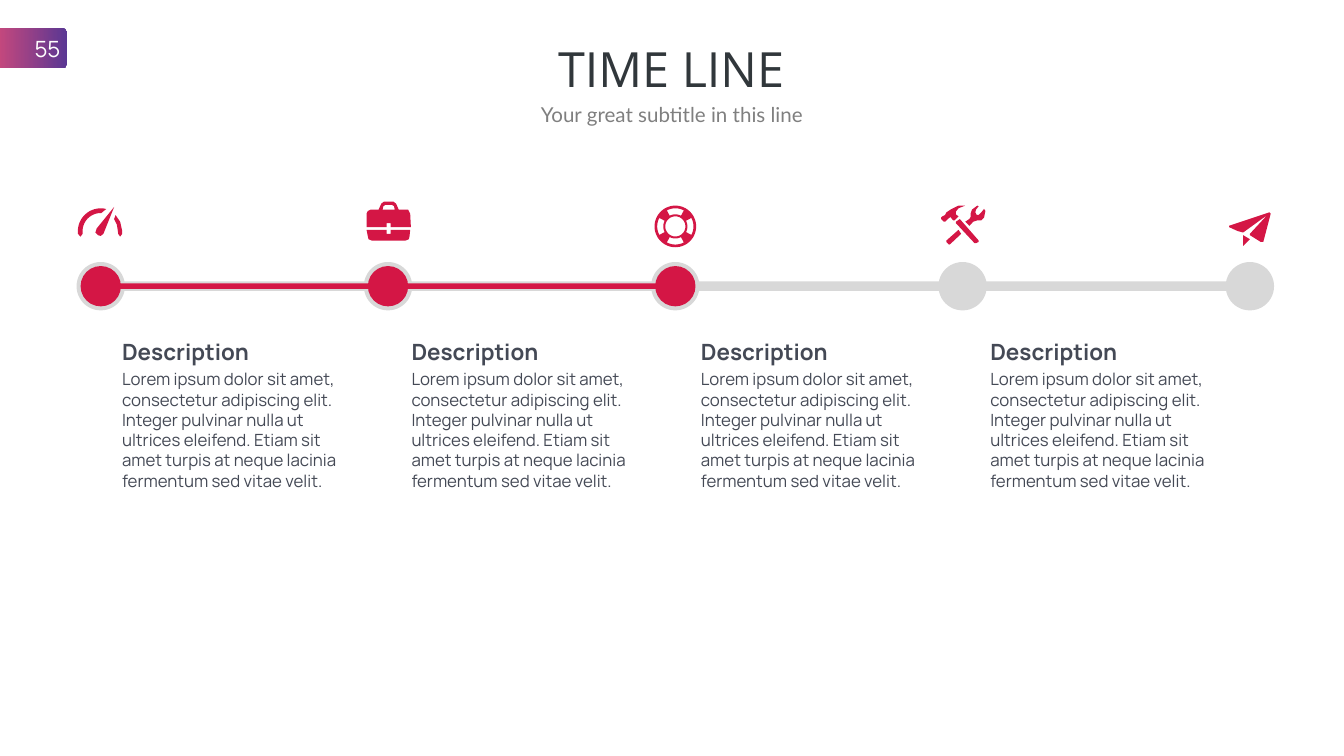
from dataclasses import dataclass
from math import cos, radians, sin

from pptx import Presentation
from pptx.dml.color import RGBColor
from pptx.enum import shapes, text
from pptx.util import Inches, Pt


@dataclass(frozen=True)
class Theme:
    red: str = "D41645"
    gray: str = "D8D8D8"
    dark: str = "31373B"
    mute: str = "7F7F7F"
    ink: str = "444955"
    white: str = "FFFFFF"
    fade: tuple = ("5A3793", "EC4E75")
    title: int = 26
    sub: int = 11
    head: int = 12
    body: int = 9


T = Theme()
SHAPE = shapes.MSO_SHAPE
LEFT, CENTER, RIGHT = (text.PP_ALIGN.LEFT, text.PP_ALIGN.CENTER,
                       text.PP_ALIGN.RIGHT)
STEPS = 5
DONE = 3
FIRST, LAST = 0.75, 9.3
NOTE_A, NOTE_Z = 0.81, 7.27
RAIL_Y = 2.13
ICON_Y = 1.68
BLURB = ("Lorem ipsum dolor sit amet, consectetur adipiscing elit. "
         "Integer pulvinar nulla ut ultrices eleifend. Etiam sit amet "
         "turpis at neque lacinia fermentum sed vitae velit.")


def spread(start, end, count):
    """Evenly spaced positions from start to end."""
    return [start + (end - start) * i / (count - 1) for i in range(count)]


def arc(y, r, start, end):
    """Points of an arc around (0, y), about six degrees apart."""
    count = max(2, round(abs(end - start) / 6)) + 1
    turns = [radians(a) for a in spread(start, end, count)]
    return [(r * cos(a), y + r * sin(a)) for a in turns]


# Icon outlines: hundredths of an inch from the icon's middle.
def gauge():
    band = (arc(4, 17, 180, 284) + arc(4, 13.5, 272, 180)
            + [(-13.5, 6), (-15, 8), (-17, 6)])
    needle = [(10, -14), (-3, 2), (-4, 5), (-2, 7), (0, 7.5), (2, 6)]
    end = [(11, -8), (14.5, -3), (16, 4), (16, 6), (14.5, 8), (13, 6),
           (12.8, 4), (12, -1), (10, -5)]
    return [band, needle, end]


def case():
    lid = [(-1, -2), (2, -2), (2, 1), (17, 1), (16.5, -9), (15, -12),
           (8, -12), (6, -16.5), (4, -18), (-3, -18), (-5, -16.5),
           (-7, -12), (-13, -12), (-15, -11), (-16, -9), (-16, 1), (-1, 1)]
    grip = [(-4, -12), (-3.5, -14.5), (-2, -15.5), (3, -15.5),
            (4.5, -14.5), (5, -12)]
    base = [(2, 6), (-1, 6), (-1, 3), (-16, 3), (-15, 8), (-14.5, 10),
            (-12, 11), (13, 11), (15.5, 10), (16, 8), (16.5, 3), (2, 3)]
    return [lid, grip, base]


def buoy():
    gaps = [arc(0.5, 13.5, a - 28, a + 28) + arc(0.5, 9, a + 28, a - 28)
            for a in range(0, 360, 90)]
    return [arc(0.5, 15.5, 0, 360), arc(0.5, 7.5, 0, 360)] + gaps


def tools():
    hammer = [(-11, -5), (-9, -6.5), (-7, -4), (-6, -4), (-3, -7),
              (-5, -8.5), (-5, -10.5), (-3, -13), (2, -15), (-3, -15),
              (-9, -12), (-12, -10), (-13, -8), (-15, -7), (-16, -6),
              (-16, -5), (-14, -3), (-13, -3), (-12, -4)]
    shaft = [(-2, -5), (-5, -3), (-5, -2), (9, 13), (10, 13), (12, 12),
             (12, 11)]
    wrench = [(17, -11), (16, -12.5), (14, -10), (12, -8), (10.5, -8),
              (9.5, -10), (10, -12), (12, -14.5), (11, -15), (7, -12),
              (6, -9), (6, -6.5), (5, -5), (2, -3), (5, 0), (8, -3),
              (11, -4), (14, -4), (16, -6)]
    grip = [(-12, 11), (-12, 12), (-10, 14), (-9, 13.5), (-1, 6), (-3, 3)]
    return [hammer, shaft, wrench, grip]


def plane():
    wing = [(14.5, -10), (-15.5, 0), (-15.5, 1), (-9, 4), (-5, 5), (13, -8),
            (0, 6), (0, 7), (8, 12), (10, 12), (15.5, -9)]
    return [wing, [(-5, 7), (-5, 15), (0, 10)]]


def color(code):
    return RGBColor.from_string(code)


def paint(shape, code):
    shape.shadow.inherit = False
    shape.fill.solid()
    shape.fill.fore_color.rgb = color(code)
    shape.line.fill.background()


def place(shape, x, y, w, h):
    shape.left, shape.top, shape.width, shape.height = map(
        Inches, (x, y, w, h))


def add_shape(slide, kind, x, y, w, h, code):
    shape = slide.shapes.add_shape(kind, *map(Inches, (x, y, w, h)))
    paint(shape, code)
    return shape


def add_dot(slide, x, size, code):
    add_shape(slide, SHAPE.OVAL, x - size / 2, RAIL_Y - size / 2,
              size, size, code)


def add_bar(slide, start, end, thick, code):
    add_shape(slide, SHAPE.RECTANGLE, start, RAIL_Y - thick / 2,
              end - start, thick, code)


def add_icon(slide, x, rings):
    spots = [[(Inches(x + a / 100), Inches(ICON_Y + b / 100))
              for a, b in ring] for ring in rings]
    pen = slide.shapes.build_freeform(*spots[0][0])
    for i, ring in enumerate(spots):
        if i:
            pen.move_to(*ring[0])
        pen.add_line_segments(ring[1:], close=True)
    paint(pen.convert_to_shape(), T.red)


def set_frame(shape, side, edge, anchor=text.MSO_ANCHOR.TOP):
    frame = shape.text_frame
    frame.word_wrap = True
    frame.auto_size = text.MSO_AUTO_SIZE.NONE
    frame.vertical_anchor = anchor
    frame.margin_left = frame.margin_right = Inches(side)
    frame.margin_top = frame.margin_bottom = Inches(edge)
    return frame


def add_run(para, words, font, size, code, align=LEFT, bold=False):
    para.alignment = align
    run = para.add_run()
    run.text = words
    run.font.name = font
    run.font.size = Pt(size)
    run.font.bold = bold
    run.font.color.rgb = color(code)


def add_heads(slide):
    title, sub = slide.shapes.title, slide.placeholders[1]
    place(title, 4.05, 0.27, 1.89, 0.48)
    add_run(set_frame(title, 0.04, 0.02).paragraphs[0], "TIME LINE",
            "Open Sans", T.title, T.dark, CENTER)
    place(sub, 3.87, 0.68, 2.26, 0.3)
    para = set_frame(sub, 0.09, 0.04).paragraphs[0]
    para.line_spacing = 1.2
    para.space_before = Pt(0)
    add_run(para, "Your great subtitle in this line", "Lato", T.sub,
            T.mute, CENTER)


def add_note(slide, x):
    box = slide.shapes.add_textbox(*map(Inches, (x, 2.47, 1.89, 0.97)))
    frame = set_frame(box, 0.1, 0.05)
    add_run(frame.paragraphs[0], "Description", "Manrope", T.head, T.ink,
            bold=True)
    para = frame.add_paragraph()
    para.space_before = Pt(2)
    add_run(para, BLURB, "Manrope", T.body, T.ink)


def add_tab(slide):
    """Page number on a tab that runs in from the left edge."""
    tab = add_shape(slide, SHAPE.ROUNDED_RECTANGLE, -0.19, 0.21, 0.69, 0.3,
                    T.white)
    tab.adjustments[0] = 0.11
    tab.fill.gradient()
    tab.fill.gradient_angle = 180
    for stop, code in zip(tab.fill.gradient_stops, T.fade):
        stop.color.rgb = color(code)
    frame = set_frame(tab, 0.04, 0.02, text.MSO_ANCHOR.MIDDLE)
    add_run(frame.paragraphs[0], "55", "Manrope", T.head, T.white, RIGHT)


def main():
    deck = Presentation()
    deck.slide_width = Inches(10)
    deck.slide_height = deck.slide_width * 9 // 16
    slide = deck.slides.add_slide(deck.slide_layouts[0])
    add_heads(slide)

    nodes = spread(FIRST, LAST, STEPS)
    add_bar(slide, FIRST, LAST, 0.07, T.gray)
    for x in nodes:
        add_dot(slide, x, 0.36, T.gray)
    add_bar(slide, FIRST, nodes[DONE - 1], 0.04, T.red)
    for x in nodes[:DONE]:
        add_dot(slide, x, 0.3, T.red)

    for x in spread(NOTE_A, NOTE_Z, STEPS - 1):
        add_note(slide, x)
    for x, draw in zip(nodes, (gauge, case, buoy, tools, plane)):
        add_icon(slide, x, draw())
    add_tab(slide)
    deck.save("out.pptx")


if __name__ == "__main__":
    main()
